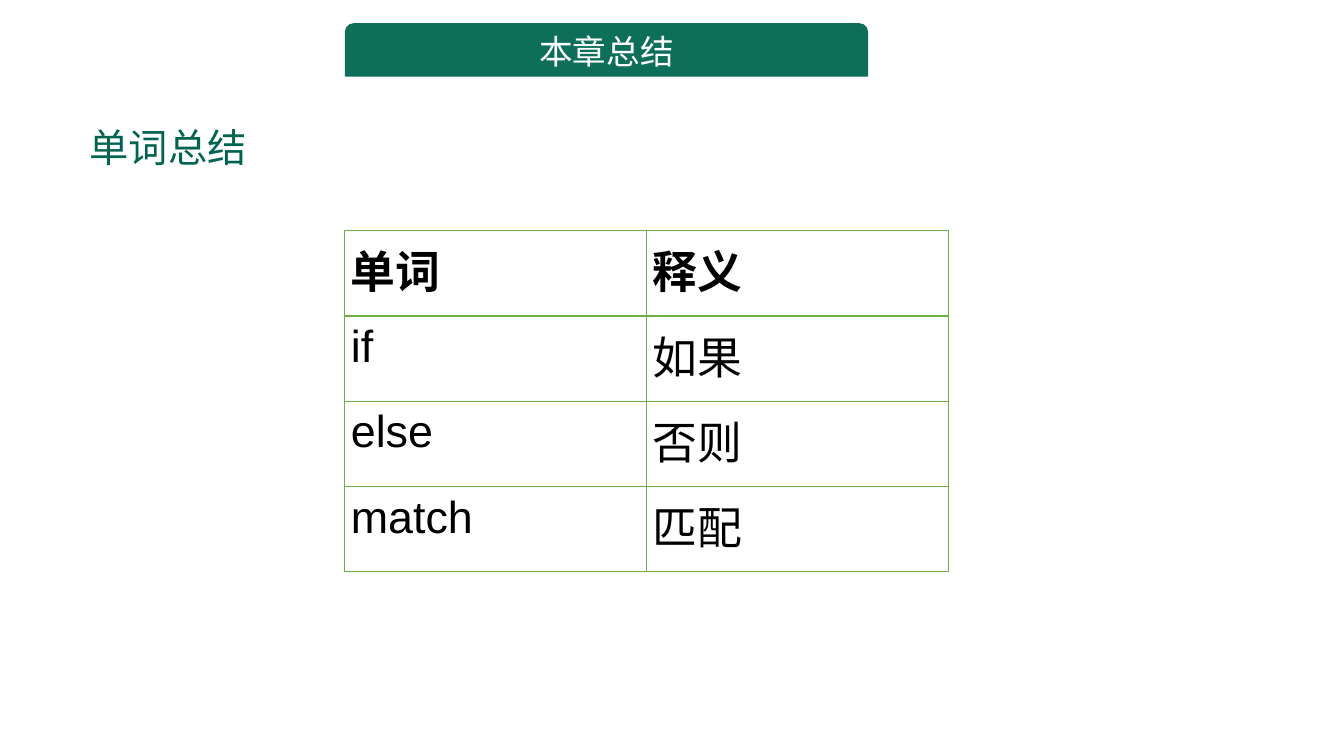
from lxml import etree
from pptx import Presentation
from pptx.dml.color import RGBColor
from pptx.enum.shapes import MSO_SHAPE
from pptx.enum.text import MSO_ANCHOR, MSO_AUTO_SIZE, PP_ALIGN
from pptx.oxml.ns import qn
from pptx.util import Inches, Pt

BANNER_SHAPE = MSO_SHAPE.ROUND_2_SAME_RECTANGLE
TOP, MIDDLE = MSO_ANCHOR.TOP, MSO_ANCHOR.MIDDLE
LEFT, CENTER = PP_ALIGN.LEFT, PP_ALIGN.CENTER
NO_AUTOFIT = MSO_AUTO_SIZE.NONE
TITLE_ONLY = 5

FONT = "Arial"
BANNER_GREEN, TITLE_GREEN, GRID_GREEN = "0D6E5A", "006450", "70AD47"
WHITE, BLACK = "FFFFFF", "000000"

WORDS = [("单词", "释义"), ("if", "如果"), ("else", "否则"), ("match", "匹配")]


def color(hex_code):
    return RGBColor.from_string(hex_code)


def write(frame, text, size, hex_code, align=LEFT, bold=False):
    paragraph = frame.paragraphs[0]
    paragraph.alignment = align
    run = paragraph.add_run()
    run.text = text
    run.font.name = FONT
    run.font.size = Pt(size)
    run.font.bold = bold
    run.font.color.rgb = color(hex_code)


def set_border(cell, side, width):
    """Add one border line; sides must be added before the cell fill."""
    line = etree.SubElement(cell._tc.get_or_add_tcPr(), qn(f"a:{side}"), w=str(Pt(width)))
    fill = etree.SubElement(line, qn("a:solidFill"))
    etree.SubElement(fill, qn("a:srgbClr"), val=GRID_GREEN)


# Chapter banner at the top
def add_banner(slide, left, top, width, height):
    banner = slide.shapes.add_shape(
        BANNER_SHAPE, Inches(left), Inches(top), Inches(width), Inches(height))
    banner.shadow.inherit = False
    banner.fill.solid()
    banner.fill.fore_color.rgb = color(BANNER_GREEN)
    banner.line.fill.background()
    banner.text_frame.vertical_anchor = MIDDLE
    write(banner.text_frame, "本章总结", 24, WHITE, CENTER)


# Section title
def add_title(slide, left, top, width, height):
    title = slide.shapes.title
    title.left, title.top = Inches(left), Inches(top)
    title.width, title.height = Inches(width), Inches(height)
    frame = title.text_frame
    frame.word_wrap = True
    frame.auto_size = NO_AUTOFIT
    frame.vertical_anchor = TOP
    write(frame, "单词总结", 28, TITLE_GREEN)


# Vocabulary table with a heavier line under its header
def add_word_table(slide, left, top, width, height):
    table = slide.shapes.add_table(
        len(WORDS), len(WORDS[0]), Inches(left), Inches(top),
        Inches(width), Inches(height)).table
    for row, entry in enumerate(WORDS):
        for column, word in enumerate(entry):
            cell = table.cell(row, column)
            cell.margin_left = cell.margin_right = Inches(0.06)
            cell.margin_top = cell.margin_bottom = Inches(0.06)
            cell.vertical_anchor = TOP
            for side in ("lnL", "lnR", "lnT", "lnB"):
                header_rule = (row, side) in ((0, "lnB"), (1, "lnT"))
                set_border(cell, side, 2 if header_rule else 1)
            cell.fill.background()
            write(cell.text_frame, word, 32, BLACK, bold=row == 0)


def main():
    presentation = Presentation()
    presentation.slide_width = Inches(13.33)
    presentation.slide_height = Inches(7.5)
    slide = presentation.slides.add_slide(presentation.slide_layouts[TITLE_ONLY])
    add_banner(slide, 3.42, 0.23, 5.19, 0.53)
    add_title(slide, 0.79, 1.17, 7.96, 0.57)
    add_word_table(slide, 3.42, 2.29, 5.99, 3.38)
    presentation.save("out.pptx")


if __name__ == "__main__":
    main()
